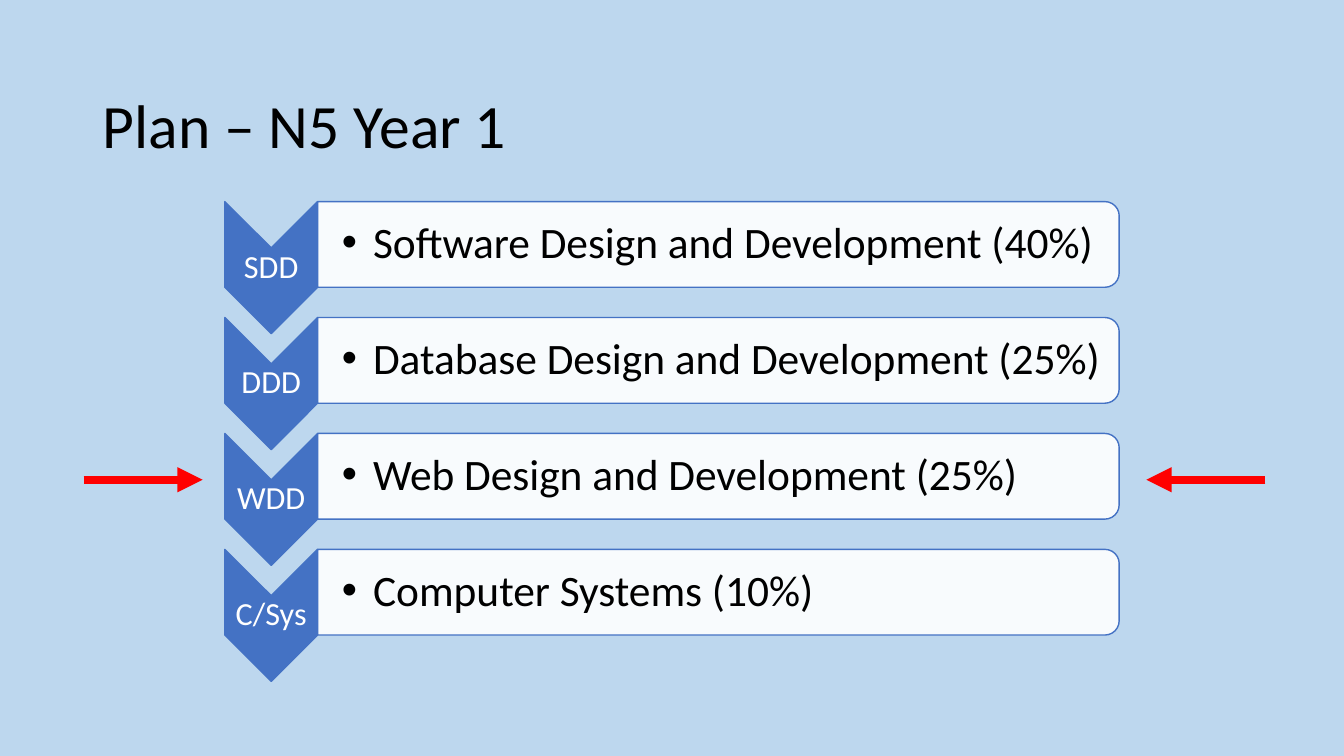
from pptx import Presentation
from pptx.util import Inches, Pt
from pptx.dml.color import RGBColor
from pptx.enum.shapes import MSO_SHAPE as Shape, MSO_CONNECTOR as Connector
from pptx.enum.text import MSO_ANCHOR as Anchor, PP_ALIGN as Align
from pptx.oxml.ns import qn
from lxml import etree

TITLE = "Plan – N5 Year 1"
UNITS = [
    ("SDD", "Software Design and Development (40%)"),
    ("DDD", "Database Design and Development (25%)"),
    ("WDD", "Web Design and Development (25%)"),
    ("C/Sys", "Computer Systems (10%)"),
]
ARROWS = [(0.83, 2.01), (12.55, 11.37)]
ARROW_Y = 4.76
COLORS = {"background": "BDD7EE", "blue": "4472C4", "white": "FFFFFF",
          "black": "000000", "red": "FF0000"}
FONT = "Calibri"
FIRST_TOP, PITCH = 2.0, 1.15
CHEVRON_LEFT, CHEVRON_WIDTH, CHEVRON_LENGTH = 2.23, 0.92, 1.31
BAR_LEFT, BAR_WIDTH, BAR_HEIGHT = 3.15, 7.95, 0.85


def color(name):
    return RGBColor.from_string(COLORS[name])


def add_text(slide, text, left, top, width, height, size, ink="black",
             align=Align.LEFT, insets=(0.02, 0.02), bullet_indent=None):
    box = slide.shapes.add_textbox(Inches(left), Inches(top), Inches(width), Inches(height))
    frame = box.text_frame
    frame.word_wrap = True
    frame.vertical_anchor = Anchor.MIDDLE
    frame.margin_left, frame.margin_right = Inches(insets[0]), Inches(insets[1])
    frame.margin_top = frame.margin_bottom = Inches(0.02)
    paragraph = frame.paragraphs[0]
    paragraph.alignment = align
    paragraph.line_spacing = 0.9
    if bullet_indent:
        properties = paragraph._p.get_or_add_pPr()
        properties.set("marL", str(Inches(bullet_indent)))
        properties.set("indent", str(-Inches(bullet_indent)))
        etree.SubElement(properties, qn("a:buFont")).set("typeface", "Arial")
        etree.SubElement(properties, qn("a:buChar")).set("char", "•")
    run = paragraph.add_run()
    run.text = text
    run.font.name = FONT
    run.font.size = Pt(size)
    run.font.color.rgb = color(ink)


def add_turned_shape(slide, kind, left, top, width, height, fill, opacity=100):
    shape = slide.shapes.add_shape(
        kind, Inches(left + (width - height) / 2), Inches(top + (height - width) / 2),
        Inches(height), Inches(width))
    shape.rotation = 90
    shape.shadow.inherit = False
    shape.fill.solid()
    shape.fill.fore_color.rgb = color(fill)
    if opacity < 100:
        fill_color = shape._element.spPr.find(qn("a:solidFill"))[0]
        etree.SubElement(fill_color, qn("a:alpha")).set("val", str(opacity * 1000))
    shape.line.color.rgb = color("blue")
    shape.line.width = Pt(1)


def add_arrow(slide, start, end, y):
    arrow = slide.shapes.add_connector(
        Connector.STRAIGHT, Inches(start), Inches(y), Inches(end), Inches(y))
    arrow.line.color.rgb = color("red")
    arrow.line.width = Pt(6)
    etree.SubElement(arrow.line._get_or_add_ln(), qn("a:tailEnd")).set("type", "triangle")
    etree.SubElement(arrow._element.spPr, qn("a:effectLst"))


def main():
    presentation = Presentation()
    presentation.slide_width, presentation.slide_height = Inches(13.33), Inches(7.5)
    slide = presentation.slides.add_slide(presentation.slide_layouts[6])
    slide.background.fill.solid()
    slide.background.fill.fore_color.rgb = color("background")

    add_text(slide, TITLE, 0.92, 0.55, 11.5, 1.45, 44, insets=(0.1, 0.1))
    for index, (code, name) in enumerate(UNITS):
        top = FIRST_TOP + index * PITCH
        add_turned_shape(slide, Shape.CHEVRON, CHEVRON_LEFT, top,
                         CHEVRON_WIDTH, CHEVRON_LENGTH, "blue")
        add_text(slide, code, CHEVRON_LEFT, top + 0.46, CHEVRON_WIDTH, 0.39, 23,
                 ink="white", align=Align.CENTER)
        add_turned_shape(slide, Shape.ROUND_2_SAME_RECTANGLE, BAR_LEFT, top,
                         BAR_WIDTH, BAR_HEIGHT, "white", opacity=90)
        add_text(slide, name, BAR_LEFT, top + 0.04, 7.91, 0.77, 31,
                 insets=(0.24, 0.02), bullet_indent=0.31)
    for start, end in ARROWS:
        add_arrow(slide, start, end, ARROW_Y)

    presentation.save("out.pptx")


if __name__ == "__main__":
    main()
